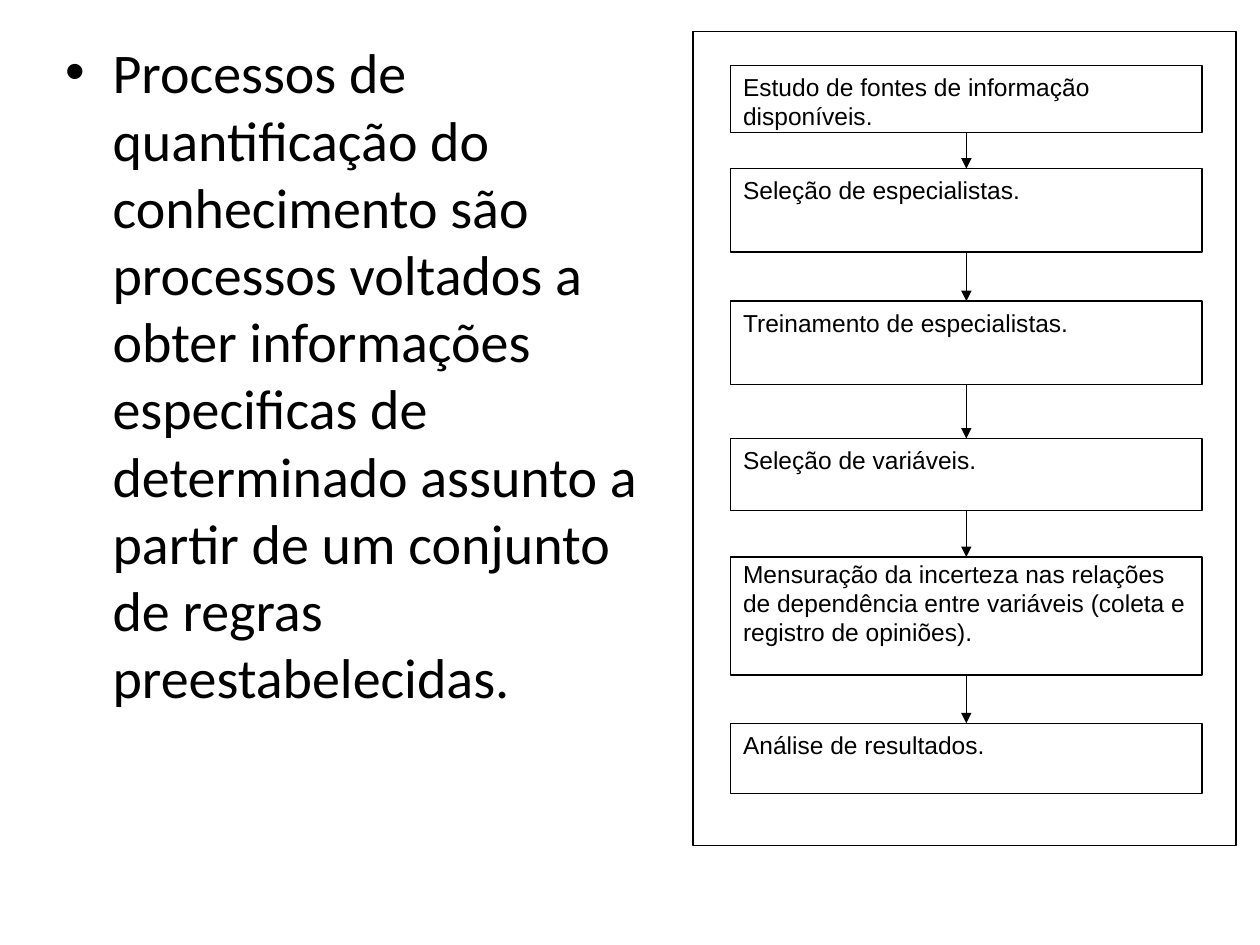
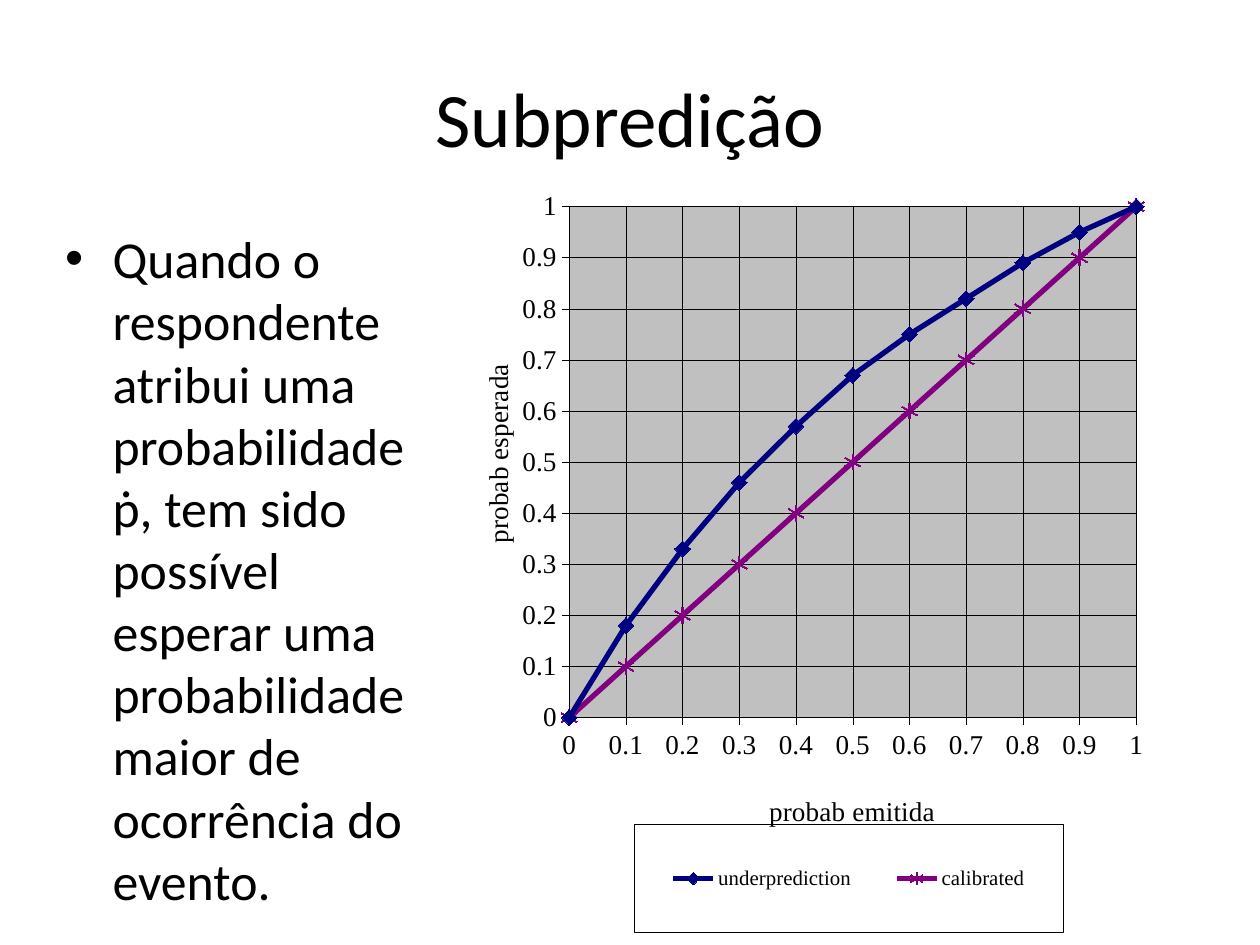
import pptx
import pptx.chart.data
import pptx.dml.color
import pptx.enum.chart
import pptx.enum.shapes
import pptx.enum.text
import pptx.oxml
import pptx.oxml.ns
import pptx.util
from lxml import etree

Cm, Pt = pptx.util.Cm, pptx.util.Pt
RGBColor = pptx.dml.color.RGBColor
ALIGN = pptx.enum.text.PP_ALIGN
ANCHOR = pptx.enum.text.MSO_ANCHOR
MARKER = pptx.enum.chart.XL_MARKER_STYLE
qn = pptx.oxml.ns.qn

BLACK = RGBColor(0x00, 0x00, 0x00)
WHITE = RGBColor(0xFF, 0xFF, 0xFF)
GREY = RGBColor(0xC0, 0xC0, 0xC0)
NAVY = RGBColor(0x00, 0x00, 0x80)
PURPLE = RGBColor(0x80, 0x00, 0x80)

# Content
DEFINITION = (
    "Processos de quantificação do conhecimento são processos voltados a obter "
    "informações especificas de determinado assunto a partir de um conjunto de "
    "regras preestabelecidas."
)
# Step text, top, height and vertical inset in cm
STEPS = [
    ("Estudo de fontes de informação disponíveis.", 1.32, 1.35, 0.13),
    ("Seleção de especialistas.", 3.4, 1.68, 0.13),
    ("Treinamento de especialistas.", 6.07, 1.68, 0.13),
    ("Seleção de variáveis.", 8.84, 1.45, 0.13),
    ("Mensuração da incerteza nas relações de dependência entre variáveis "
     "(coleta e registro de opiniões).", 11.23, 2.38, 0.03),
    ("Análise de resultados.", 14.58, 1.42, 0.13),
]
STEP_LEFT, STEP_WIDTH = 14.73, 9.5

TITLE = "Subpredição"
EXPLANATION = (
    "Quando o respondente atribui uma probabilidade ṗ, tem sido possível esperar "
    "uma probabilidade maior de ocorrência do evento."
)
PROBABILITIES = [step / 10 for step in range(11)]
SERIES = [
    ("underprediction", [0, 0.18, 0.33, 0.46, 0.57, 0.67, 0.75, 0.82, 0.89, 0.95, 1],
     NAVY, MARKER.DIAMOND),
    ("calibrated", PROBABILITIES, PURPLE, MARKER.STAR),
]
X_TITLE, Y_TITLE = "probab emitida", "probab esperada"


def set_values(target, values):
    for name, value in values.items():
        setattr(target, name, value)


def set_font(font, name, size):
    set_values(font, {"name": name, "size": Pt(size), "bold": False})
    font.color.rgb = BLACK


def set_line(line, color=BLACK, width=0.75):
    line.color.rgb = color
    line.width = Pt(width)


def add_text(slide, text, box, size, **paragraph_format):
    text_box = slide.shapes.add_textbox(*map(Cm, box))
    text_box.text_frame.word_wrap = True
    paragraph = text_box.text_frame.paragraphs[0]
    set_values(paragraph, paragraph_format)
    run = paragraph.add_run()
    run.text = text
    set_font(run.font, "Calibri", size)
    return text_box


def add_bullet_text(slide, text, box, size):
    text_box = add_text(slide, text, box, size, space_before=Pt(6))
    properties = text_box.text_frame.paragraphs[0]._p.get_or_add_pPr()
    properties.set("marL", str(Cm(0.95)))
    properties.set("indent", str(-Cm(0.95)))
    etree.SubElement(properties, qn("a:buFont")).set("typeface", "Arial")
    etree.SubElement(properties, qn("a:buChar")).set("char", "•")


# Flow of steps
def add_rectangle(shapes, box):
    rectangle = shapes.add_shape(
        pptx.enum.shapes.MSO_SHAPE.RECTANGLE, *map(Cm, box))
    rectangle.shadow.inherit = False
    set_line(rectangle.line)
    return rectangle


def add_step(shapes, text, top, height, inset):
    step = add_rectangle(shapes, (STEP_LEFT, top, STEP_WIDTH, height))
    step.fill.solid()
    step.fill.fore_color.rgb = WHITE
    set_values(step.text_frame, {
        "word_wrap": True, "vertical_anchor": ANCHOR.TOP,
        "margin_top": Cm(inset), "margin_bottom": Cm(inset),
    })
    paragraph = step.text_frame.paragraphs[0]
    paragraph.alignment = ALIGN.LEFT
    run = paragraph.add_run()
    run.text = text
    set_font(run.font, "Arial", 14)
    return step


def add_arrow(shapes, upper, lower):
    arrow = shapes.add_connector(
        pptx.enum.shapes.MSO_CONNECTOR.STRAIGHT, 0, 0, 0, 0)
    arrow.begin_connect(upper, 2)
    arrow.end_connect(lower, 0)
    set_line(arrow.line)
    etree.SubElement(arrow.line._get_or_add_ln(), qn("a:tailEnd")).set("type", "triangle")
    etree.SubElement(arrow._element.spPr, qn("a:effectLst"))


def build_process_slide(slide):
    add_bullet_text(slide, DEFINITION, (1.07, 0.64, 12.27, 17.35), 32)
    flow = slide.shapes.add_group_shape().shapes
    add_rectangle(flow, (13.97, 0.64, 10.95, 16.41)).fill.background()
    steps = [add_step(flow, *step) for step in STEPS]
    for upper, lower in zip(steps, steps[1:]):
        add_arrow(flow, upper, lower)


# Calibration chart
def place(element, index, **fractions):
    """Give a chart part a manual layout, as fractions of the chart."""
    for old in element.findall(qn("c:layout")):
        element.remove(old)
    layout = etree.Element(qn("c:layout"))
    manual = etree.SubElement(layout, qn("c:manualLayout"))
    if element.tag == qn("c:plotArea"):
        etree.SubElement(manual, qn("c:layoutTarget")).set("val", "inner")
    for name in ("xMode", "yMode"):
        etree.SubElement(manual, qn("c:" + name)).set("val", "edge")
    for name, value in fractions.items():
        etree.SubElement(manual, qn("c:" + name)).set("val", str(value))
    element.insert(index, layout)


def area_format(fill):
    return pptx.oxml.parse_xml(
        f'<c:spPr {pptx.oxml.ns.nsdecls("c", "a")}>'
        f'<a:solidFill><a:srgbClr val="{fill}"/></a:solidFill>'
        f'<a:ln w="{Pt(0.25)}"><a:solidFill><a:srgbClr val="{BLACK}"/></a:solidFill></a:ln>'
        '</c:spPr>')


def format_axis(axis, title, x, y, rotation):
    set_values(axis, {
        "minimum_scale": 0, "maximum_scale": 1, "major_unit": 0.1,
        "has_major_gridlines": True,
        "major_tick_mark": pptx.enum.chart.XL_TICK_MARK.CROSS,
        "minor_tick_mark": pptx.enum.chart.XL_TICK_MARK.NONE,
    })
    set_font(axis.tick_labels.font, "Times New Roman", 15.5)
    for line in (axis.format.line, axis.major_gridlines.format.line):
        set_line(line, width=0.25)
    frame = axis.axis_title.text_frame
    frame.text = title
    set_font(frame.paragraphs[0].runs[0].font, "Times New Roman", 15.5)
    frame._txBody.find(qn("a:bodyPr")).set("rot", str(rotation))
    place(axis.axis_title._element, 1, x=x, y=y)


def add_calibration_chart(slide):
    data = pptx.chart.data.XyChartData()
    for name, values, _, _ in SERIES:
        series_data = data.add_series(name)
        for x, y in zip(PROBABILITIES, values):
            series_data.add_data_point(x, y)
    chart = slide.shapes.add_chart(
        pptx.enum.chart.XL_CHART_TYPE.XY_SCATTER_LINES,
        *map(Cm, (9.32, 3.3, 25.35, 15.75)), data).chart
    set_values(chart, {"has_title": False, "has_legend": True})
    set_font(chart.font, "Times New Roman", 13)
    chart.plots[0].vary_by_categories = False

    for series, (_, _, color, marker) in zip(chart.plots[0].series, SERIES):
        series.smooth = False
        set_line(series.format.line, color, 3)
        set_values(series.marker, {"style": marker, "size": 9})
        set_line(series.marker.format.line, color)
        if marker == MARKER.STAR:
            series.marker.format.fill.background()
        else:
            series.marker.format.fill.solid()
            series.marker.format.fill.fore_color.rgb = color

    format_axis(chart.category_axis, X_TITLE, 0.24, 0.8, 0)
    format_axis(chart.value_axis, Y_TITLE, 0.01, 0.25, -5400000)

    plot_area = chart._chartSpace.chart.plotArea
    place(plot_area, 0, x=0.085, y=0.055, w=0.451, h=0.654)
    plot_area.append(area_format(GREY))

    legend = chart.legend
    set_values(legend, {
        "position": pptx.enum.chart.XL_LEGEND_POSITION.RIGHT,
        "include_in_layout": False,
    })
    set_font(legend.font, "Times New Roman", 11.9)
    place(legend._element, 1, x=0.137, y=0.846, w=0.341, h=0.138)
    legend._element.find(qn("c:txPr")).addprevious(area_format(WHITE))


def build_calibration_slide(slide):
    title = add_text(slide, TITLE, (1.27, 0.76, 22.86, 3.18), 44, alignment=ALIGN.CENTER)
    title.text_frame.vertical_anchor = ANCHOR.MIDDLE
    add_bullet_text(slide, EXPLANATION, (1.07, 4.45, 8.05, 12.57), 29.6)
    add_calibration_chart(slide)


def main():
    presentation = pptx.Presentation()
    set_values(presentation, {"slide_width": Cm(25.4), "slide_height": Cm(19.05)})
    for build in (build_process_slide, build_calibration_slide):
        build(presentation.slides.add_slide(presentation.slide_layouts[6]))
    presentation.save("out.pptx")


if __name__ == "__main__":
    main()
